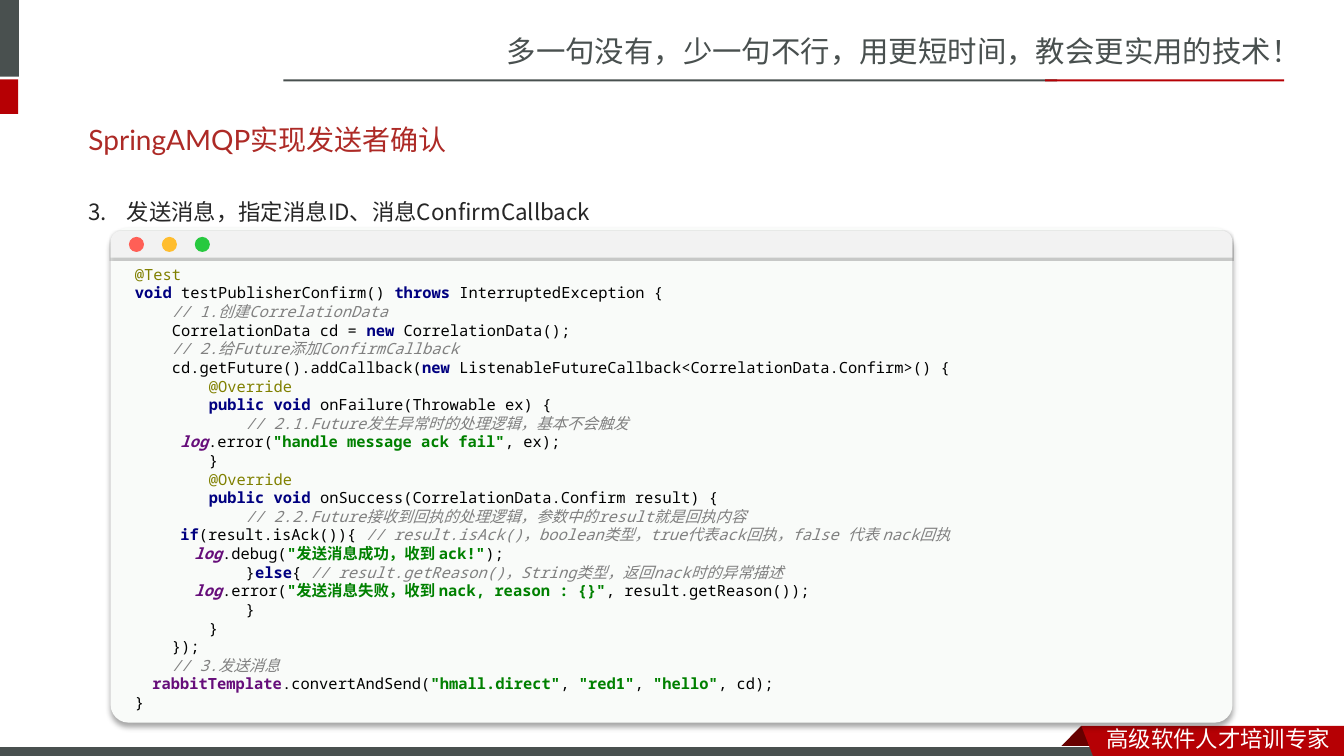
import itertools
import lxml.etree
import pptx
import pptx.dml.color
import pptx.enum.shapes
import pptx.enum.text
import pptx.oxml.ns
import pptx.util

Cm = pptx.util.Cm
Pt = pptx.util.Pt
SHAPE = pptx.enum.shapes.MSO_SHAPE
ANCHOR = pptx.enum.text.MSO_ANCHOR
qn = pptx.oxml.ns.qn

CJK = "Noto Sans CJK SC"
MONO = "Noto Sans Mono"
GREY, RED, DARK_RED = "49504F", "B60004", "680000"

STYLES = {
    "code": ("000000", False, False),
    "note": ("808000", False, False),
    "key": ("000080", True, False),
    "text": ("008000", True, False),
    "rem": ("808080", False, True),
    "log": ("660E7A", True, True),
    "field": ("660E7A", True, False),
}

STEP = 26.4
CODE = [
    (0, [("note", "@Test")]),
    (0, [("key", "void "), ("code", "testPublisherConfirm() "), ("key", "throws "),
         ("code", "InterruptedException {")]),
    (STEP, [("rem", "// 1.创建CorrelationData")]),
    (STEP, [("code", "CorrelationData cd = "), ("key", "new "), ("code", "CorrelationData();")]),
    (STEP, [("rem", "// 2.给Future添加ConfirmCallback")]),
    (STEP, [("code", "cd.getFuture().addCallback("), ("key", "new "),
            ("code", "ListenableFutureCallback<CorrelationData.Confirm>() {")]),
    (STEP * 2, [("note", "@Override")]),
    (STEP * 2, [("key", "public void "), ("code", "onFailure(Throwable ex) {")]),
    (STEP * 3, [("rem", "// 2.1.Future发生异常时的处理逻辑，基本不会触发")]),
    (32.5, [("log", "log"), ("code", ".error("), ("text", '"handle message ack fail"'),
            ("code", ", ex);")]),
    (STEP * 2, [("code", "}")]),
    (STEP * 2, [("note", "@Override")]),
    (STEP * 2, [("key", "public void "), ("code", "onSuccess(CorrelationData.Confirm result) {")]),
    (STEP * 3, [("rem", "// 2.2.Future接收到回执的处理逻辑，参数中的result就是回执内容")]),
    (32.5, [("key", "if"), ("code", "(result.isAck()){ "),
            ("rem", "// result.isAck()，boolean类型，true代表ack回执，false 代表 nack回执")]),
    (42.5, [("log", "log"), ("code", ".debug("), ("text", '"发送消息成功，收到 ack!"'),
            ("code", ");")]),
    (STEP * 3, [("code", "}"), ("key", "else"), ("code", "{ "),
                ("rem", "// result.getReason()，String类型，返回nack时的异常描述")]),
    (42.5, [("log", "log"), ("code", ".error("),
            ("text", '"发送消息失败，收到 nack, reason : {}"'),
            ("code", ", result.getReason());")]),
    (STEP * 3, [("code", "}")]),
    (STEP * 2, [("code", "}")]),
    (STEP, [("code", "});")]),
    (STEP, [("rem", "// 3.发送消息")]),
    (12.5, [("field", "rabbitTemplate"), ("code", ".convertAndSend("),
            ("text", '"hmall.direct"'), ("code", ", "), ("text", '"red1"'), ("code", ", "),
            ("text", '"hello"'), ("code", ", cd);")]),
    (0, [("code", "}")]),
]


def rgb(color):
    return pptx.dml.color.RGBColor.from_string(color)


def paint(sp, fill):
    sp.shadow.inherit = False
    sp.fill.solid()
    sp.fill.fore_color.rgb = rgb(fill)
    sp.line.fill.background()
    return sp


def add_block(slide, kind, box, fill):
    return paint(slide.shapes.add_shape(kind, *map(Cm, box)), fill)


def add_outline(slide, points, fill):
    corners = [(Cm(x), Cm(y)) for x, y in points]
    builder = slide.shapes.build_freeform(*corners[0])
    builder.add_line_segments(corners[1:], close=True)
    return paint(builder.convert_to_shape(), fill)


def add_shadow(sp, alpha, blur, dist):
    effects = sp._element.spPr.find(qn("a:effectLst"))
    shadow = lxml.etree.SubElement(effects, qn("a:outerShdw"), blurRad=str(Pt(blur)),
                                   dist=str(Pt(dist)), dir="5400000", algn="t", rotWithShape="0")
    color = lxml.etree.SubElement(shadow, qn("a:srgbClr"), val="000000")
    lxml.etree.SubElement(color, qn("a:alpha"), val=str(alpha * 1000))


def style_run(r, size, latin, color, asian=CJK):
    r.font.size = Pt(size)
    r.font.name = latin
    r.font.color.rgb = rgb(color)
    ea = lxml.etree.Element(qn("a:ea"), typeface=asian)
    r.font._element.find(qn("a:latin")).addnext(ea)


def add_text(slide, box, text, size, latin, color, asian=CJK, anchor=ANCHOR.TOP):
    tf = slide.shapes.add_textbox(*map(Cm, box)).text_frame
    tf.word_wrap = True
    tf.vertical_anchor = anchor
    tf.text = text
    p = tf.paragraphs[0]
    style_run(p.runs[0], size, latin, color, asian)
    return p


def add_header(slide, x, y, w, h):
    add_block(slide, SHAPE.RECTANGLE, (x, y, 0.48, 1.93), GREY)
    add_block(slide, SHAPE.RECTANGLE, (x, y + 2, 0.46, 0.87), RED)
    add_block(slide, SHAPE.RECTANGLE, (x + 7.14, y + 2, 19.5, 0.05), GREY)
    add_block(slide, SHAPE.RECTANGLE, (x + 26.34, y + 2, 6.02, 0.05), RED)
    add_text(slide, (x + 12.52, y + 0.71, w - 12.52, h - 1.68),
             "多一句没有，少一句不行，用更短时间，教会更实用的技术！", 21, CJK, GREY)


def add_footer(slide, x, y, w, h):
    fold = x + 27.25
    add_outline(slide, [(fold, y), (fold + 0.56, y + 0.56), (fold + 0.53, y + 0.58),
                        (fold - 0.53, y + 0.58), (fold - 0.55, y + 0.56)], DARK_RED)
    sp = add_block(slide, SHAPE.RECTANGLE, (x, y + 0.53, 27.9, 0.3), GREY)
    sp.line.color.rgb = rgb("FFFFFF")
    sp.line.width = Pt(0.75)
    add_outline(slide, [(fold, y), (x + w, y), (x + w, y + h), (fold + 0.33, y + h)], RED)
    add_text(slide, (x + 27.64, y - 0.13, w - 27.64, 0.94), "高级软件人才培训专家",
             16, CJK, "FFFFFF")


def add_topic(slide, x, y, w, h):
    add_text(slide, (x, y, w, 1.45), "SpringAMQP实现发送者确认", 20, "Lato", "AD2A26",
             anchor=ANCHOR.MIDDLE)
    p = add_text(slide, (x, y + 1.73, w, h - 1.73), "发送消息，指定消息ID、消息ConfirmCallback",
                 16, "Noto Sans CJK JP", "262626", "Noto Sans CJK JP")
    p.line_spacing = 1.5
    p.space_before = Pt(3.2)
    pPr = p._p.get_or_add_pPr()
    pPr.set("marL", str(Cm(0.97)))
    pPr.set("indent", str(-Cm(0.97)))
    lxml.etree.SubElement(pPr, qn("a:buFont"), typeface="Noto Sans CJK JP")
    lxml.etree.SubElement(pPr, qn("a:buAutoNum"), type="arabicPeriod", startAt="3")


def add_code(slide, box):
    tf = slide.shapes.add_textbox(*map(Cm, box)).text_frame
    tf.word_wrap = True
    tf.margin_left = tf.margin_right = Cm(0.61)
    for i, (indent, tokens) in enumerate(CODE):
        p = tf.add_paragraph() if i else tf.paragraphs[0]
        p.line_spacing = Pt(13.3)
        p._p.get_or_add_pPr().set("marL", str(Pt(indent)))
        for style, text in tokens:
            color, bold, italic = STYLES[style]
            for wide, chars in itertools.groupby(text, lambda ch: ord(ch) > 0x2E80):
                r = p.add_run()
                r.text = "".join(chars)
                style_run(r, 11, "Courier New" if wide else MONO, color)
                r.font.bold = bold
                r.font.italic = italic


def add_code_window(slide, x, y, w, h):
    panel = add_block(slide, SHAPE.ROUNDED_RECTANGLE, (x, y, w, h), "F9FBF9")
    panel.adjustments[0] = 0.036
    add_shadow(panel, 34, 4, 3)
    add_code(slide, (x, y + 0.81, w - 0.3, h - 0.94))
    bar = add_block(slide, SHAPE.ROUND_2_SAME_RECTANGLE, (x, y + 0.08, w, 0.67), "F2F2F2")
    bar.adjustments[0] = 0.39
    add_shadow(bar, 20, 1, 1)
    for i, color in enumerate(("FF5F56", "FFBD2E", "27C93F")):
        add_block(slide, SHAPE.OVAL, (x + 0.46 + 0.83 * i, y + 0.23, 0.38, 0.38), color)


def main():
    prs = pptx.Presentation()
    prs.slide_width = Cm(33.87)
    prs.slide_height = Cm(19.05)
    slide = prs.slides.add_slide(prs.slide_layouts[6])
    add_header(slide, 0, 0, 33.87, 2.87)
    add_footer(slide, 0, 18.29, 33.87, 0.85)
    add_topic(slide, 1.98, 2.79, 29.72, 8.26)
    add_code_window(slide, 2.79, 5.74, 28.27, 12.47)
    prs.save("out.pptx")


if __name__ == "__main__":
    main()
